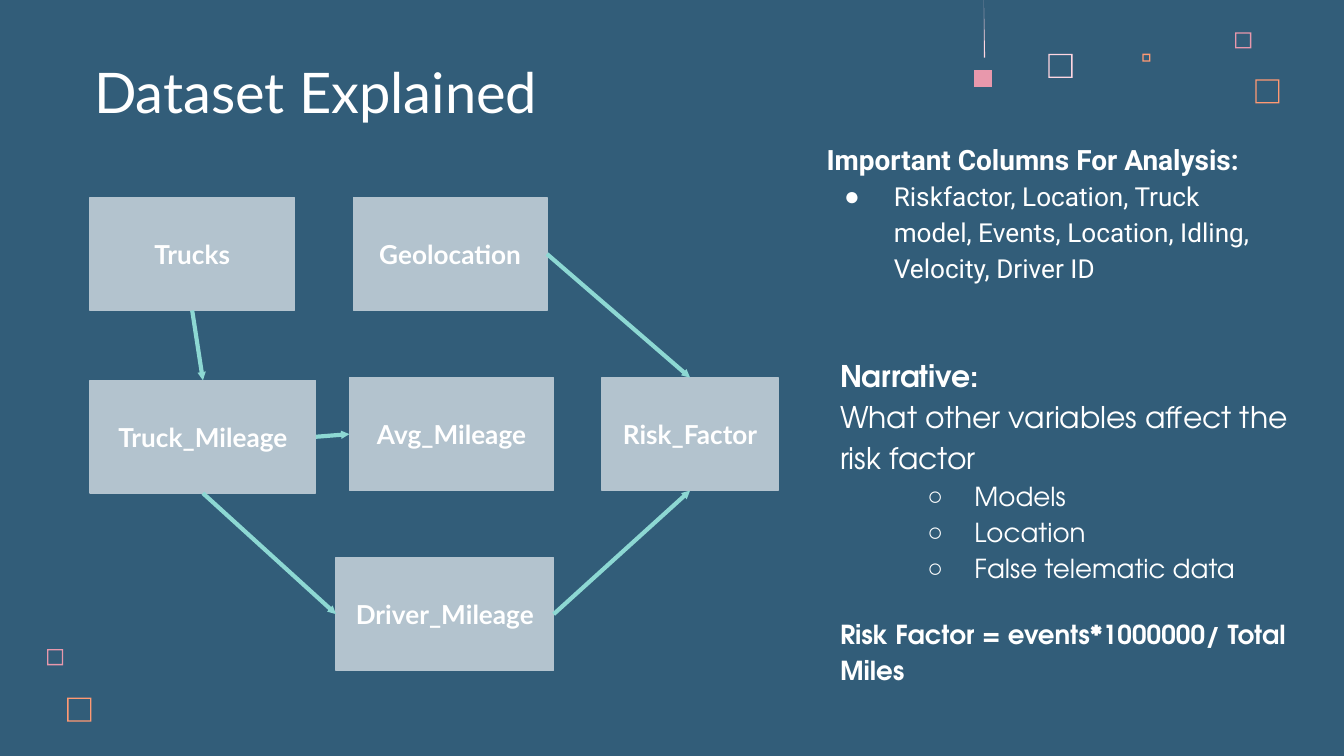
"""Build the "Dataset Explained" slide: a table-flow diagram with analysis notes."""
from lxml.etree import SubElement
from pptx import Presentation
from pptx.dml.color import RGBColor
from pptx.enum.shapes import MSO_CONNECTOR, MSO_SHAPE
from pptx.enum.text import MSO_ANCHOR, MSO_AUTO_SIZE, PP_ALIGN
from pptx.oxml.ns import qn
from pptx.util import Inches, Pt

BACKGROUND, WHITE, BOX, ARROW = "325D79", "FFFFFF", "B3C3CE", "8DD8D3"
BLUSH, PINK, ORANGE = "FFD6E1", "E898AC", "FF9973"
TOP, BOTTOM, LEFT, RIGHT = 0, 2, 1, 3
SLIDE_WIDTH = Inches(10)
SLIDE_HEIGHT = SLIDE_WIDTH * 9 // 16
BOX_HEIGHT, FRAME_LINE = 0.84, 0.01

TITLE = "Dataset Explained"
TABLES = {
    "Trucks": (0.67, 1.47, 1.52),
    "Geolocation": (2.63, 1.47, 1.44),
    "Truck_Mileage": (0.67, 2.83, 1.68),
    "Driver_Mileage": (2.5, 4.15, 1.62),
    "Avg_Mileage": (2.6, 2.81, 1.52),
    "Risk_Factor": (4.48, 2.81, 1.31),
}
FLOWS = [
    ("Trucks", BOTTOM, "Truck_Mileage", TOP),
    ("Truck_Mileage", RIGHT, "Avg_Mileage", LEFT),
    ("Truck_Mileage", BOTTOM, "Driver_Mileage", LEFT),
    ("Geolocation", RIGHT, "Risk_Factor", TOP),
    ("Driver_Mileage", RIGHT, "Risk_Factor", BOTTOM),
]
NOTES = [
    ((6.05, 0.96, 3.55, 2.01), "Roboto", [
        ("Important Columns For Analysis:", "heading"),
        ("Riskfactor, Location, Truck model, Events, Location, Idling, Velocity, Driver ID", "columns"),
    ]),
    ((6.15, 2.52, 3.76, 2.68), "TeX Gyre Adventor", [
        ("Narrative:", "topic"),
        ("What other variables affect the risk factor", "question"),
        ("Models", "variable"),
        ("Location", "variable"),
        ("False telematic data", "variable"),
        ("Risk Factor = events*1000000/ Total Miles", "formula"),
    ]),
]
STYLES = {
    "heading": {"size": 15, "bold": True, "spacing": 1.0},
    "columns": {"size": 14, "bullet": "●", "indent": (0.5, -0.37)},
    "topic": {"size": 16, "bold": True},
    "question": {"size": 16},
    "variable": {"size": 14, "bullet": "○", "indent": (1, -0.35), "level": 1},
    "formula": {"size": 14, "bold": True, "gap": 16},
}
SQUARE_FRAMES = [
    (7.8, 0.4, 0.18, BLUSH), (9.19, 0.24, 0.12, PINK), (8.5, 0.4, 0.06, ORANGE),
    (9.34, 0.59, 0.18, ORANGE), (0.35, 4.83, 0.12, PINK), (0.5, 5.19, 0.18, ORANGE),
]
PENDANT = [
    ([(7.25, 0.52), (7.25, 0.65), (7.38, 0.65), (7.38, 0.52)], PINK),
    ([(7.32, 0), (7.32, 0.43), (7.33, 0.43)], BLUSH),
]


def rgb(color):
    return RGBColor.from_string(color)


def apply(target, values):
    for name, value in values.items():
        setattr(target, name, value)


def place(shape, area):
    apply(shape, dict(zip(("left", "top", "width", "height"), map(Inches, area))))


def set_frame(frame, anchor):
    apply(frame, {"word_wrap": True, "auto_size": MSO_AUTO_SIZE.NONE, "vertical_anchor": anchor})
    apply(frame, {f"margin_{side}": Inches(0.1) for side in ("left", "top", "right", "bottom")})


def write(paragraph, text, font, size, bold=False, align=PP_ALIGN.LEFT):
    paragraph.alignment = align
    run = paragraph.add_run()
    run.text = text
    apply(run.font, {"name": font, "size": Pt(size), "bold": bold})
    run.font.color.rgb = rgb(WHITE)


def set_bullet(paragraph, bullet, indent):
    properties = paragraph._p.get_or_add_pPr()
    for name, length in zip(("marL", "indent"), indent):
        properties.set(name, str(Inches(length)))
    if not bullet:
        SubElement(properties, qn("a:buNone"))
        return
    SubElement(SubElement(properties, qn("a:buClr")), qn("a:srgbClr")).set("val", WHITE)
    SubElement(properties, qn("a:buChar")).set("char", bullet)


def add_outline(shapes, contours, color):
    first, *others = [[(Inches(x), Inches(y)) for x, y in contour] for contour in contours]
    builder = shapes.build_freeform(*first[0])
    builder.add_line_segments(first[1:], close=True)
    for contour in others:
        builder.move_to(*contour[0])
        builder.add_line_segments(contour[1:], close=True)
    outline = builder.convert_to_shape()
    outline.shadow.inherit = False
    outline.fill.solid()
    outline.fill.fore_color.rgb = rgb(color)
    outline.line.fill.background()


def add_square_frame(shapes, left, top, side, color):
    right, bottom = left + side, top + side
    outer = [(left, top), (left, bottom), (right, bottom), (right, top)]
    near_x, near_y = left + FRAME_LINE, top + FRAME_LINE
    far_x, far_y = right - FRAME_LINE, bottom - FRAME_LINE
    inner = [(far_x, near_y), (far_x, far_y), (near_x, far_y), (near_x, near_y)]
    add_outline(shapes, [outer, inner], color)


def add_table_box(shapes, label, left, top, width):
    box = shapes.add_shape(MSO_SHAPE.RECTANGLE, *map(Inches, (left, top, width, BOX_HEIGHT)))
    box.shadow.inherit = False
    box.fill.solid()
    box.fill.fore_color.rgb = box.line.color.rgb = rgb(BOX)
    box.line.width = Pt(0.75)
    set_frame(box.text_frame, MSO_ANCHOR.MIDDLE)
    write(box.text_frame.paragraphs[0], label, "Lato", 14, True, PP_ALIGN.CENTER)
    return box


def add_flow(shapes, source, source_side, target, target_side):
    arrow = shapes.add_connector(MSO_CONNECTOR.STRAIGHT, 0, 0, 0, 0)
    arrow.begin_connect(source, source_side)
    arrow.end_connect(target, target_side)
    arrow.line.color.rgb = rgb(ARROW)
    arrow.line.width = Pt(2.25)
    head = SubElement(arrow.line._get_or_add_ln(), qn("a:tailEnd"))
    for name, value in {"type": "triangle", "w": "sm", "len": "sm"}.items():
        head.set(name, value)
    SubElement(arrow._element.spPr, qn("a:effectLst"))


def fill_notes(body, area, font, lines):
    place(body, area)
    frame = body.text_frame
    set_frame(frame, MSO_ANCHOR.TOP)
    for number, (text, style_name) in enumerate(lines):
        style = STYLES[style_name]
        paragraph = frame.add_paragraph() if number else frame.paragraphs[0]
        gap = Pt(style.get("gap", 0))
        apply(paragraph, {"level": style.get("level", 0), "space_before": gap,
                          "space_after": gap, "line_spacing": style.get("spacing", 1.15)})
        write(paragraph, text, font, style["size"], style.get("bold", False))
        set_bullet(paragraph, style.get("bullet"), style.get("indent", (0, 0)))


def main():
    deck = Presentation()
    apply(deck, {"slide_width": SLIDE_WIDTH, "slide_height": SLIDE_HEIGHT})
    slide = deck.slides.add_slide(deck.slide_layouts[3])
    slide.background.fill.solid()
    slide.background.fill.fore_color.rgb = rgb(BACKGROUND)
    shapes = slide.shapes

    title, *bodies = slide.placeholders
    place(title, (0.6, 0.4, 6.4, 0.63))
    set_frame(title.text_frame, MSO_ANCHOR.BOTTOM)
    write(title.text_frame.paragraphs[0], TITLE, "Lato", 30)
    for body, notes in zip(bodies, NOTES):
        fill_notes(body, *notes)

    for square in SQUARE_FRAMES:
        add_square_frame(shapes, *square)
    for contour, color in PENDANT:
        add_outline(shapes, [contour], color)
    boxes = {label: add_table_box(shapes, label, *spot) for label, spot in TABLES.items()}
    for source, source_side, target, target_side in FLOWS:
        add_flow(shapes, boxes[source], source_side, boxes[target], target_side)
    deck.save("out.pptx")


if __name__ == "__main__":
    main()
